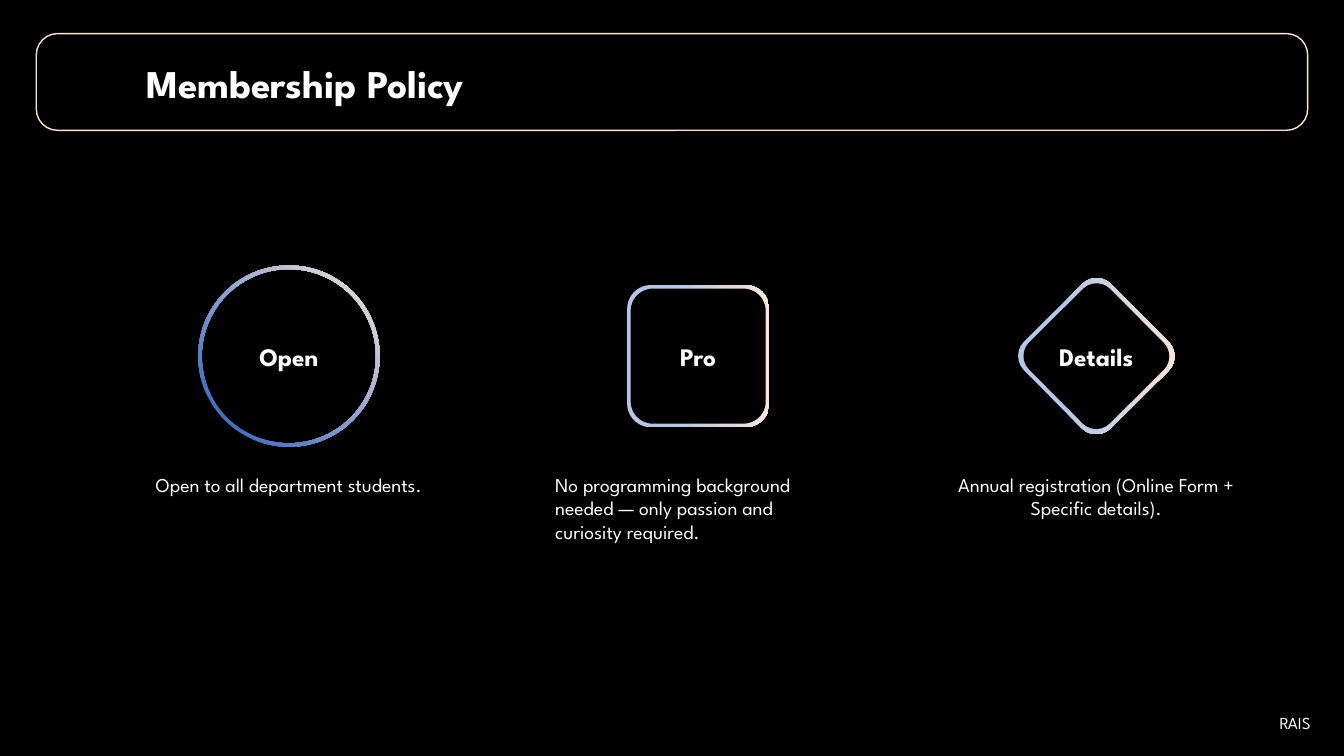
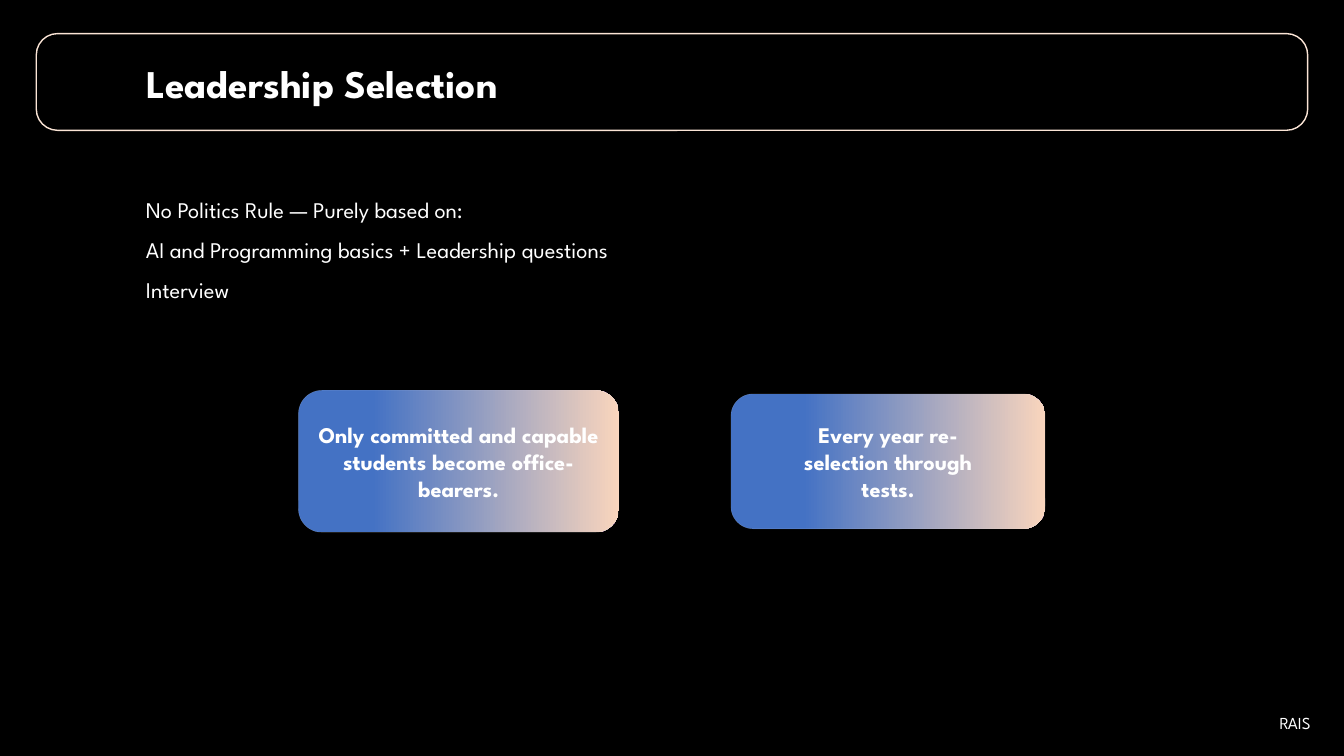
from lxml.etree import SubElement
from pptx import Presentation
from pptx.dml.color import RGBColor
from pptx.enum.shapes import MSO_SHAPE
from pptx.enum.text import MSO_ANCHOR, MSO_AUTO_SIZE, PP_ALIGN
from pptx.oxml.ns import qn
from pptx.util import Inches, Pt

COLUMNS, ROWS = 40, 22.5
CELL = Inches(13.333) / COLUMNS

FONT = "League Spartan"
BLACK, WHITE = "000000", "FFFFFF"
BLUE, PALE_BLUE = "4472C4", "B4C7E7"
CREAM, PEACH = "FBE5D6", "F9D5BD"

MARGIN = 1.08
TEXT_LEFT = 4.05
COLUMN_CENTERS = (8.6, 20.78, 32.63)
BADGE_MIDDLE = 10.6
CARD_MIDDLE = 13.73


def cells(count):
    return round(CELL * count)


def color(value):
    return RGBColor.from_string(value)


def area(left, top, width, height):
    return [cells(length) for length in (left, top, width, height)]


def centered(center, middle, width, height):
    """Area of the given size around a point, all in grid cells."""
    return area(center - width / 2, middle - height / 2, width, height)


def write(shape, lines, size, bold=False, align=PP_ALIGN.LEFT, spacing=None,
          anchor=MSO_ANCHOR.TOP):
    frame = shape.text_frame
    frame.text = "\n".join(lines)
    frame.word_wrap = True
    frame.auto_size = MSO_AUTO_SIZE.NONE
    frame.vertical_anchor = anchor
    for paragraph in frame.paragraphs:
        paragraph.alignment = align
        if spacing:
            paragraph.line_spacing = spacing
        for span in paragraph.runs:
            span.font.name = FONT
            span.font.size = Pt(size)
            span.font.bold = bold
            span.font.color.rgb = color(WHITE)


def add_text(page, place, lines, size, **style):
    box = page.shapes.add_textbox(*place)
    write(box, lines, size, **style)
    return box


def add_plain_shape(page, kind, place):
    """Preset shape with no shadow, fill or line."""
    shape = page.shapes.add_shape(kind, *place)
    shape.shadow.inherit = False
    shape.fill.background()
    shape.line.fill.background()
    return shape


def fill_gradient(shape, start, end, offset, angle=0):
    """Two-colour blend that keeps its direction when the shape is turned."""
    shape.fill.gradient()
    shape.fill.gradient_angle = angle
    stops = shape.fill.gradient_stops
    for stop, value, position in zip(stops, (start, end), (offset, 1)):
        stop.color.rgb = color(value)
        stop.position = position
    shape.element.spPr.find(qn("a:gradFill")).set("rotWithShape", "0")


def add_page(deck, title):
    page = deck.slides.add_slide(deck.slide_layouts[5])
    frame = add_plain_shape(page, MSO_SHAPE.ROUNDED_RECTANGLE,
                            area(MARGIN, 1, COLUMNS - 2 * MARGIN, 2.88))
    frame.adjustments[0] = 0.22
    frame.line.color.rgb = color(CREAM)
    frame.line.width = Pt(1)

    heading = page.shapes.title
    heading.left, heading.top, heading.width, heading.height = area(
        TEXT_LEFT, 1.6, 27.06, 1.7)
    write(heading, [title], 28, bold=True)
    add_text(page, area(35.43, 21.06, 3.87, 0.9), ["RAIS"], 12,
             align=PP_ALIGN.RIGHT)
    return page


def add_ring(page, center):
    ring = add_plain_shape(page, MSO_SHAPE.DONUT,
                           centered(center, BADGE_MIDDLE, 5.4, 5.4))
    ring.adjustments[0] = 0.02
    fill_gradient(ring, BLUE, CREAM, 0.16, angle=45)


def add_tile(page, center, outer, inner, rotation=0):
    """Rounded square with a gradient rim, made of two stacked squares."""
    rim, core = [
        add_plain_shape(page, MSO_SHAPE.ROUNDED_RECTANGLE,
                        centered(center, BADGE_MIDDLE, side, side))
        for side in (outer, inner)]
    rim.rotation = core.rotation = rotation
    fill_gradient(rim, PALE_BLUE, CREAM, 0.31)
    core.fill.solid()
    core.fill.fore_color.rgb = color(BLACK)


def add_badge_text(page, center, label, caption, align):
    add_text(page, centered(center, BADGE_MIDDLE, 3.6, 1.2), [label], 18,
             bold=True, align=PP_ALIGN.CENTER)
    add_text(page, area(center - 4.55, 13.92, 9.1, 3.12), [caption], 14,
             align=align)


def add_card(page, center, width, height, text, side_margin):
    card = add_plain_shape(page, MSO_SHAPE.ROUNDED_RECTANGLE,
                           centered(center, CARD_MIDDLE, width, height))
    fill_gradient(card, BLUE, PEACH, 0.23)
    card.line.color.rgb = color(WHITE)
    card.line.width = Pt(0.25)
    line_color = card.line._get_or_add_ln().find(".//" + qn("a:srgbClr"))
    SubElement(line_color, qn("a:alpha"), val="20000")
    write(card, [text], 16, bold=True, align=PP_ALIGN.CENTER,
          anchor=MSO_ANCHOR.MIDDLE)
    card.text_frame.margin_left = card.text_frame.margin_right = cells(side_margin)


def add_membership_page(deck):
    page = add_page(deck, "Membership Policy")
    open_center, pro_center, details_center = COLUMN_CENTERS
    add_ring(page, open_center)
    add_tile(page, pro_center, 4.23, 4.02)
    add_tile(page, details_center, 3.65, 3.4, rotation=315.2)
    badges = (
        ("Open", "Open to all department students.", PP_ALIGN.CENTER),
        ("Pro", "No programming background needed — only passion and "
                "curiosity required.", PP_ALIGN.LEFT),
        ("Details", "Annual registration (Online Form + Specific details).",
         PP_ALIGN.CENTER),
    )
    for center, badge in zip(COLUMN_CENTERS, badges):
        add_badge_text(page, center, *badge)


def add_leadership_page(deck):
    page = add_page(deck, "Leadership Selection")
    add_text(page, area(TEXT_LEFT, 5.28, 34.05, 3.78), [
        "No Politics Rule — Purely based on:",
        "AI and Programming basics + Leadership questions",
        "Interview",
    ], 16, spacing=1.5)
    add_card(page, 13.65, 9.54, 4.23,
             "Only committed and capable students become office-bearers.", 0.3)
    add_card(page, 26.43, 9.36, 4.02,
             "Every year re-selection through tests.", 1.23)


def main():
    deck = Presentation()
    deck.slide_width, deck.slide_height = cells(COLUMNS), cells(ROWS)
    background = deck.slide_master.background.fill
    background.solid()
    background.fore_color.rgb = color(BLACK)
    add_membership_page(deck)
    add_leadership_page(deck)
    deck.save("out.pptx")


if __name__ == "__main__":
    main()
